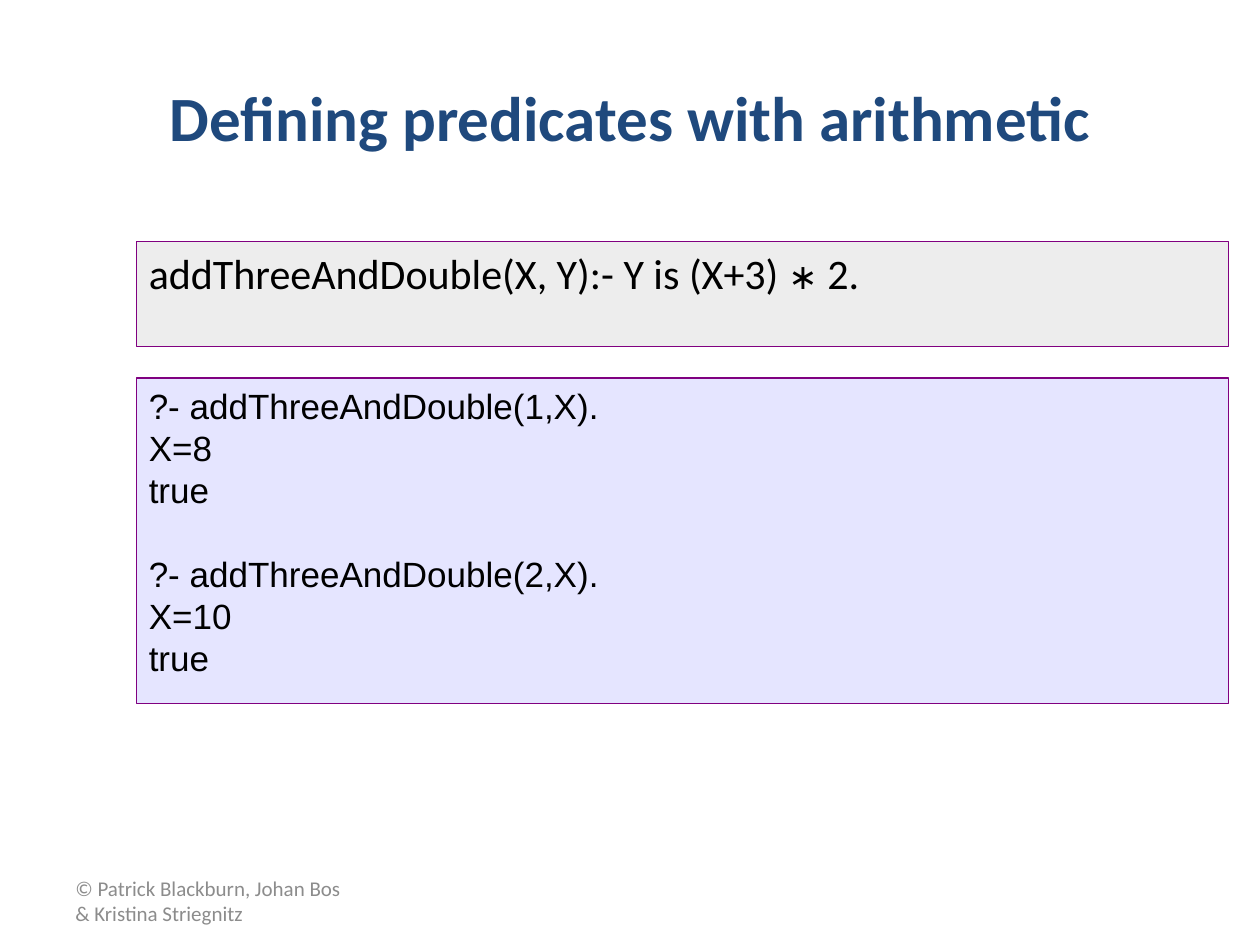
import pptx
import pptx.util
import pptx.dml.color
import pptx.enum.shapes
import pptx.enum.text
import pptx.oxml
import pptx.oxml.ns
from pptx.util import Cm, Pt

THEME = {
    "title": {"name": "Calibri", "size": 36, "color": "1F497D", "bold": True},
    "rule": {"name": "Calibri", "size": 24, "color": "000000"},
    "operator": {"name": "Calibri", "size": 20, "color": "000000"},
    "query": {"name": "Arial", "size": 20, "color": "000000"},
    "footer": {"name": "Calibri", "size": 12, "color": "8C8C8C"},
    "border": "800080",
    "rule_fill": "DDDDDD",
    "query_fill": "CCCCFF",
}


def add_span(para, text, style):
    span = para.add_run()
    span.text = text
    for key, value in THEME[style].items():
        if key == "color":
            span.font.color.rgb = pptx.dml.color.RGBColor.from_string(value)
        else:
            setattr(span.font, key, Pt(value) if key == "size" else value)


def add_panel(page, top, height, fill):
    panel = page.shapes.add_shape(
        pptx.enum.shapes.MSO_SHAPE.RECTANGLE, Cm(2.75), Cm(top), Cm(22.02), Cm(height))
    panel.shadow.inherit = False
    panel.fill.solid()
    panel.fill.fore_color.rgb = pptx.dml.color.RGBColor.from_string(THEME[fill])
    color = panel.fill._xPr.find(".//" + pptx.oxml.ns.qn("a:srgbClr"))
    color.append(pptx.oxml.parse_xml(
        '<a:alpha xmlns:a="http://schemas.openxmlformats.org/drawingml/2006/main" val="50000"/>'))
    panel.line.color.rgb = pptx.dml.color.RGBColor.from_string(THEME["border"])
    panel.line.width = Pt(0.75)
    panel.text_frame.vertical_anchor = pptx.enum.text.MSO_ANCHOR.TOP
    panel.text_frame.word_wrap = True
    return panel.text_frame


deck = pptx.Presentation()
deck.slide_width, deck.slide_height = Cm(25.4), Cm(19.05)
page = deck.slides.add_slide(deck.slide_layouts[5])

# Title
title = page.shapes.title
place = {"left": 1.27, "top": 0.76, "width": 22.86, "height": 3.18}
for side, length in place.items():
    setattr(title, side, Cm(length))
title.text_frame.vertical_anchor = pptx.enum.text.MSO_ANCHOR.MIDDLE
para = title.text_frame.paragraphs[0]
para.alignment = pptx.enum.text.PP_ALIGN.CENTER
add_span(para, "Defining predicates with arithmetic", "title")

# Predicate definition
frame = add_panel(page, 4.87, 2.12, "rule_fill")
para = frame.paragraphs[0]
para.alignment = pptx.enum.text.PP_ALIGN.LEFT
for text, style in [("addThreeAndDouble(X, Y):- Y is (X+3) ", "rule"),
                    ("∗", "operator"), (" 2.", "rule")]:
    add_span(para, text, style)

# Queries with their answers, one line of space between them
frame = add_panel(page, 7.62, 6.56, "query_fill")
queries = [("?- addThreeAndDouble(1,X).", "X=8", "true"),
           ("?- addThreeAndDouble(2,X).", "X=10", "true")]
for number, lines in enumerate(queries):
    for row, text in enumerate(lines):
        first = number == 0 and row == 0
        para = frame.paragraphs[0] if first else frame.add_paragraph()
        para.alignment = pptx.enum.text.PP_ALIGN.LEFT
        para.line_spacing = Pt(24)
        if number > 0 and row == 0:
            para.space_before = Pt(24)
        add_span(para, text, "query")

# Footer
box = page.shapes.add_textbox(Cm(1.27), Cm(17.65), Cm(5.92), Cm(1.02))
box.text_frame.word_wrap = True
box.text_frame.vertical_anchor = pptx.enum.text.MSO_ANCHOR.MIDDLE
add_span(box.text_frame.paragraphs[0],
         "© Patrick Blackburn, Johan Bos & Kristina Striegnitz", "footer")

deck.save("out.pptx")
